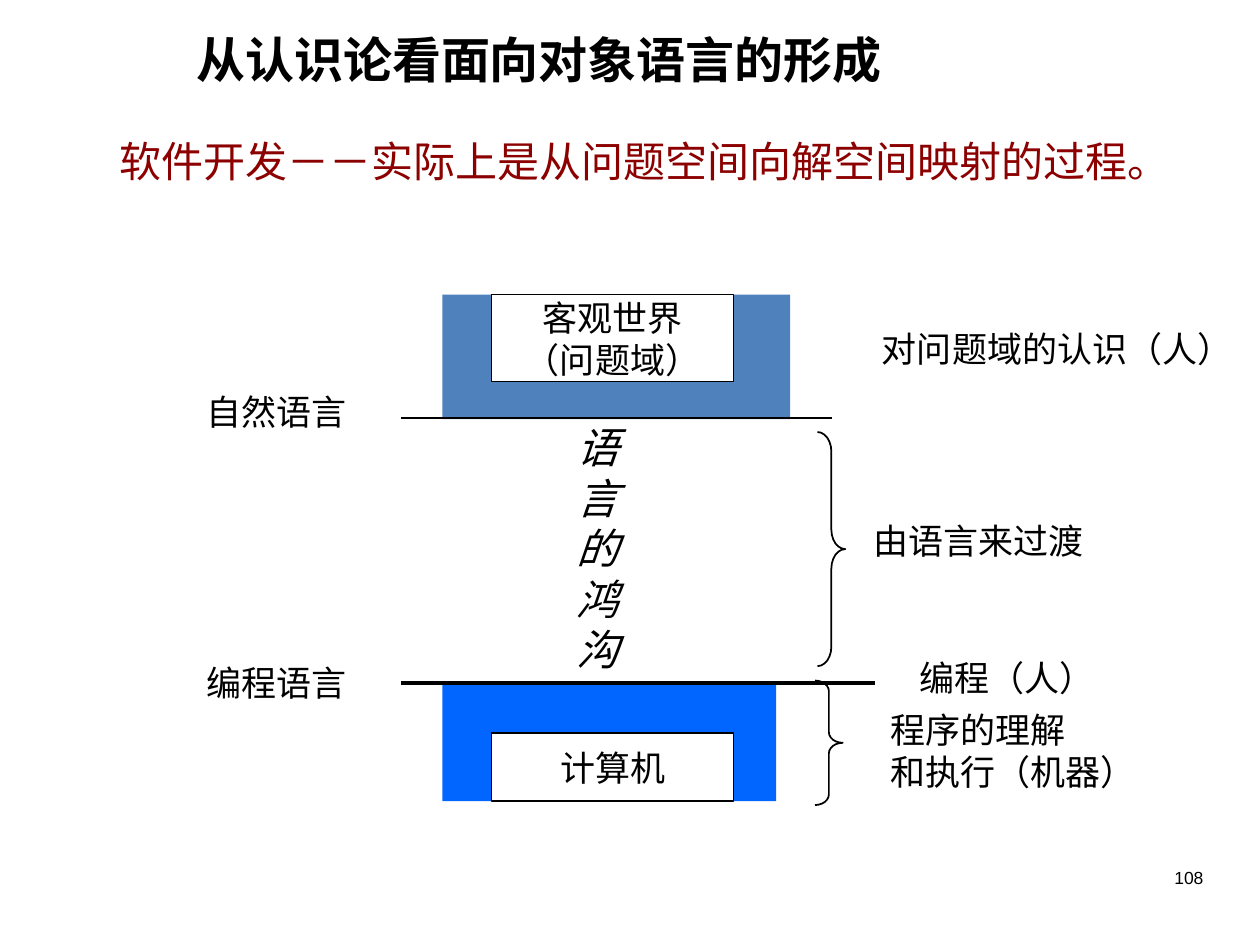
from lxml import etree
from pptx import Presentation
from pptx.dml.color import RGBColor
from pptx.enum import shapes, text
from pptx.oxml import ns
from pptx.util import Cm, Pt

COLORS = {"ink": "000000", "paper": "FFFFFF", "world": "4F81BD",
          "machine": "0066FF", "statement": "8C0000"}
CJK = "Noto Sans CJK JP"
LABEL = {"size": Pt(20), "name": CJK}
TITLE = {"size": Pt(28), "name": "Noto Sans CJK SC", "bold": True}
STATEMENT = {"size": Pt(24), "name": "Times New Roman"}
GAP = {"size": Pt(24), "name": CJK, "italic": True}
NUMBER = {"size": Pt(10), "name": "Arial"}


def rgb(key):
    """Return the named colour."""
    return RGBColor.from_string(COLORS[key])


def write(frame, lines, style, color="ink", align=text.PP_ALIGN.LEFT, wrap=False):
    """Fill a text frame with one paragraph for each line."""
    frame.word_wrap = wrap
    for index, line in enumerate(lines):
        paragraph = frame.paragraphs[0] if index == 0 else frame.add_paragraph()
        paragraph.alignment = align
        run = paragraph.add_run()
        run.text = line
        for attribute, value in style.items():
            setattr(run.font, attribute, value)
        run.font.color.rgb = rgb(color)
        if style["name"].startswith("Noto"):
            etree.SubElement(run.font._element, ns.qn("a:ea"), typeface=style["name"])


def add_label(slide, box, lines, style=LABEL, inset=True, **options):
    """Add a text box with the given lines."""
    frame = slide.shapes.add_textbox(*map(Cm, box)).text_frame
    if not inset:
        for side in ("left", "top", "right", "bottom"):
            setattr(frame, f"margin_{side}", 0)
    write(frame, lines, style, **options)


def add_block(slide, box, fill, outlined=False):
    """Add a filled rectangle."""
    block = slide.shapes.add_shape(shapes.MSO_SHAPE.RECTANGLE, *map(Cm, box))
    block.shadow.inherit = False
    block.fill.solid()
    block.fill.fore_color.rgb = rgb(fill)
    if outlined:
        block.line.color.rgb = rgb("ink")
        block.line.width = Pt(1)
    else:
        block.line.fill.background()
    return block


def add_boundary(slide, left, right, y, width):
    """Add a horizontal language boundary."""
    boundary = slide.shapes.add_connector(
        shapes.MSO_CONNECTOR.STRAIGHT, Cm(left), Cm(y), Cm(right), Cm(y))
    boundary.line.color.rgb = rgb("ink")
    boundary.line.width = Pt(width)
    etree.SubElement(boundary._element.spPr, ns.qn("a:effectLst"))


def add_brace(slide, box, curve):
    """Add a right brace with the given curve ratio."""
    brace = slide.shapes.add_shape(shapes.MSO_SHAPE.RIGHT_BRACE, *map(Cm, box))
    brace.shadow.inherit = False
    brace.fill.background()
    brace.line.color.rgb = rgb("ink")
    brace.line.width = Pt(1)
    brace.adjustments[0] = curve


def add_header(slide, box):
    """Place the title and the statement."""
    left, top, width, height = box
    add_label(slide, (left + 1.3, top, 14.8, 1.45), ["从认识论看面向对象语言的形成"], TITLE)
    add_label(slide, (left, top + 2.26, width, 1.02),
              ["软件开发－－实际上是从问题空间向解空间映射的过程。"],
              STATEMENT, inset=False, color="statement")


def add_layer(slide, box, fill, lines, core, language, boundary):
    """Place a layer block, its core, its language and its boundary."""
    left, top, width, height = box
    core_top, core_height = core
    line_y, line_length, line_width, label_rise = boundary
    add_block(slide, box, fill)
    core_block = add_block(
        slide, (left + 0.99, top + core_top, 4.88, core_height), "paper", outlined=True)
    core_block.text_frame.vertical_anchor = text.MSO_ANCHOR.MIDDLE
    write(core_block.text_frame, lines, LABEL, align=text.PP_ALIGN.CENTER)
    add_label(slide, (left - 5.01, top + line_y - label_rise, 3.33, 1.09), [language])
    add_boundary(slide, left - 0.84, left - 0.84 + line_length, top + line_y, line_width)


def add_world(slide, box):
    """Place the problem domain layer."""
    left, top, width, height = box
    add_layer(slide, box, "world", ["客观世界", "（问题域）"], (0, 1.75),
              "自然语言", (height - 0.02, 8.69, 1, 0.68))
    add_label(slide, (left + 8.61, top + 0.54, 7.57, 1.09), ["对问题域的认识（人）"])


def add_gap(slide, box):
    """Place the language gap with its brace."""
    left, top, width, height = box
    add_label(slide, (left, top, 1.35, height), list("语言的鸿沟"), GAP)
    add_brace(slide, (left + 5.1, top + 0.33, 0.56, 4.72), 0.7)
    add_label(slide, (left + 5.97, top + 1.96, 4.75, 1.09), ["由语言来过渡"])


def add_machine(slide, box):
    """Place the computer layer with its brace."""
    left, top, width, height = box
    add_layer(slide, box, "machine", ["计算机"], (height - 1.37, 1.37),
              "编程语言", (0.03, 9.55, 2.25, 0.56))
    add_brace(slide, (left + 7.51, top - 0.02, 0.56, 2.51), 0.38)
    add_label(slide, (left + 9.37, top - 0.63, 4.04, 1.09), ["编程（人）"])
    add_label(slide, (left + 8.78, top + 0.41, 5.46, 1.93), ["程序的理解", "和执行（机器）"])


def main():
    """Build and save the slide."""
    deck = Presentation()
    deck.slide_width, deck.slide_height = Cm(25.4), Cm(19.05)
    slide = deck.slides.add_slide(deck.slide_layouts[6])
    add_header(slide, (2.41, 0.48, 21.16, 3.3))
    add_world(slide, (8.92, 5.94, 7.01, 2.51))
    add_gap(slide, (11.38, 8.38, 10.72, 5.33))
    add_machine(slide, (8.92, 13.74, 6.73, 2.41))
    add_label(slide, (19.63, 17.35, 4.88, 1.32), ["108"], NUMBER,
              align=text.PP_ALIGN.RIGHT, wrap=True)
    deck.save("out.pptx")


if __name__ == "__main__":
    main()
